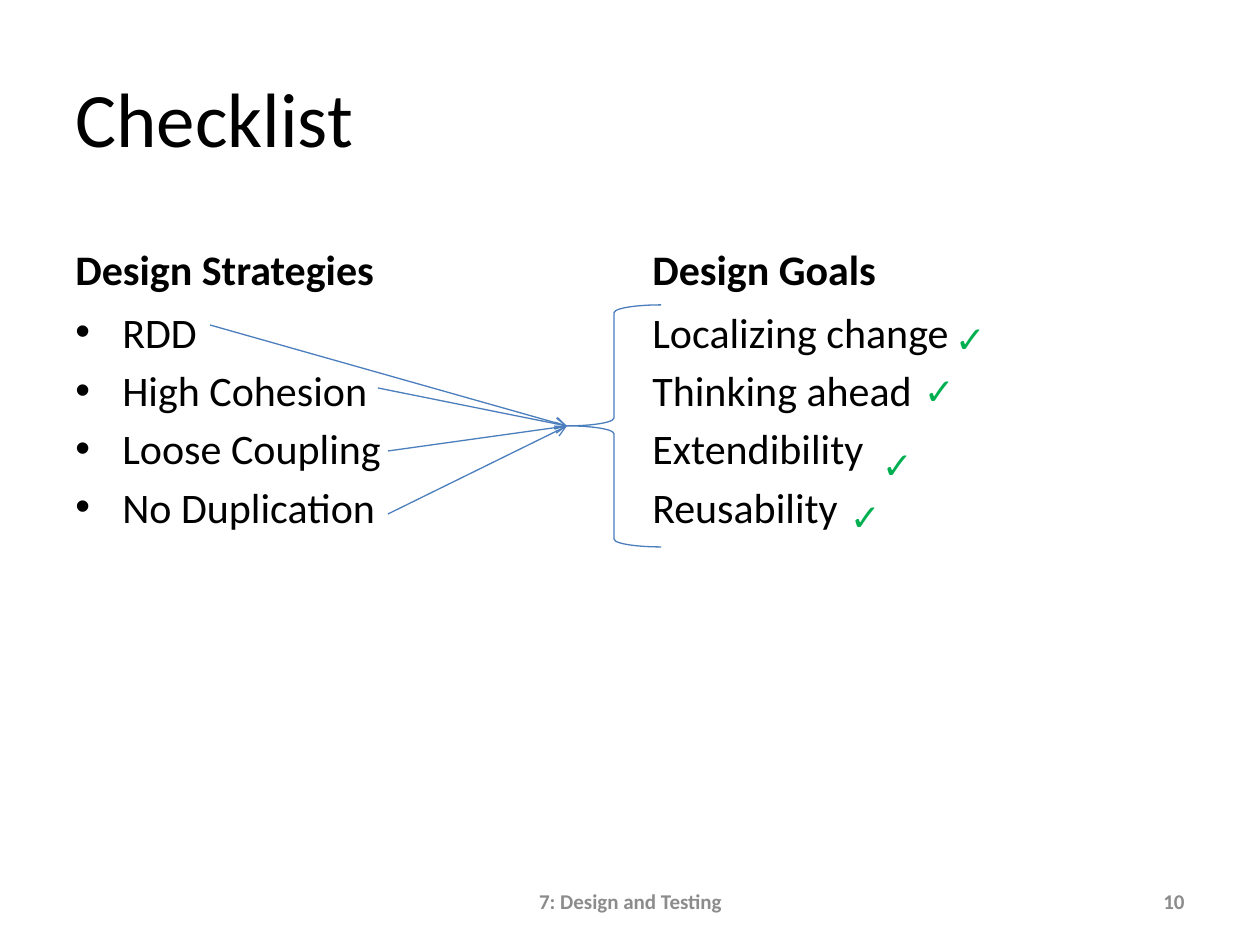
from lxml import etree
from pptx import Presentation, util as u
from pptx.dml.color import RGBColor
from pptx.enum import shapes, text
from pptx.oxml.ns import qn

PX = 7257  # EMU in one px, at 126 px to the inch
COLORS = {"ink": "000000", "line": "4B7EBC", "tick": "00B050", "footer": "8C8C8C"}

TITLE = "Checklist"
COLUMNS = [  # left, heading, bullet, items
    (63, "Design Strategies", "•",
     ["RDD", "High Cohesion", "Loose Coupling", "No Duplication"]),
    (640, "Design Goals", None,
     ["Localizing change", "Thinking ahead", "Extendibility", "Reusability"]),
]
COLUMN_WIDTH = 557
BRACE = (567, 305, 94, 242)
ARROW_STARTS = [(210, 325), (378, 388), (388, 451), (388, 514)]
TICKS = [(945, 305), (914, 357), (872, 431), (840, 483)]
FOOTERS = [  # text, left, width, alignment
    ("7: Design and Testing", 431, 399, text.PP_ALIGN.CENTER),
    ("10", 903, 294, text.PP_ALIGN.RIGHT),
]


def px(*lengths):
    return [u.Emu(length * PX) for length in lengths]


def color(name):
    return RGBColor.from_string(COLORS[name])


def add_text(page, place, lines, size, ink="ink", font="Calibri", bold=False,
             anchor=text.MSO_ANCHOR.TOP, align=text.PP_ALIGN.LEFT, before=0):
    box = page.shapes.add_textbox(*px(*place))
    frame = box.text_frame
    frame.word_wrap = True
    frame.vertical_anchor = anchor
    frame.text = "\n".join(lines)
    for para in frame.paragraphs:
        para.alignment = align
        para.space_before = u.Pt(before)
        for span in para.runs:
            span.font.name = font
            span.font.size = u.Pt(size)
            span.font.bold = bold
            span.font.color.rgb = color(ink)
    return box


def hang(para, bullet):
    """Give a paragraph a hanging indent, with a bullet if there is one."""
    props = para._p.get_or_add_pPr()
    indent = px(47)[0]
    props.set("marL", str(indent))
    props.set("indent", str(-indent))
    if bullet:
        etree.SubElement(props, qn("a:buFont"), typeface="Arial")
        etree.SubElement(props, qn("a:buChar"), char=bullet)
    else:
        etree.SubElement(props, qn("a:buNone"))


def style_line(line):
    line.color.rgb = color("line")
    line.width = u.Pt(0.75)


def add_arrow(page, start, end):
    arrow = page.shapes.add_connector(
        shapes.MSO_CONNECTOR.STRAIGHT, *px(*start, *end))
    style_line(arrow.line)
    etree.SubElement(arrow.line._get_or_add_ln(), qn("a:tailEnd"), type="arrow")
    etree.SubElement(arrow._element.spPr, qn("a:effectLst"))


def main():
    deck = Presentation()
    deck.slide_width, deck.slide_height = px(1260, 945)
    page = deck.slides.add_slide(deck.slide_layouts[6])

    add_text(page, (63, 38, 1134, 157), [TITLE], 44,
             anchor=text.MSO_ANCHOR.MIDDLE)

    for left, heading, bullet, items in COLUMNS:
        add_text(page, (left, 212, COLUMN_WIDTH, 88), [heading], 24, bold=True,
                 anchor=text.MSO_ANCHOR.BOTTOM, before=4.5)
        body = add_text(page, (left, 300, COLUMN_WIDTH, 544), items, 24, before=4.5)
        for para in body.text_frame.paragraphs:
            hang(para, bullet)

    left, top, width, height = BRACE
    brace = page.shapes.add_shape(shapes.MSO_SHAPE.LEFT_BRACE, *px(*BRACE))
    brace.shadow.inherit = False
    brace.fill.background()
    style_line(brace.line)
    for start in ARROW_STARTS:
        add_arrow(page, start, (left, top + height // 2))

    for tick in TICKS:
        add_text(page, (*tick, 63, 63), ["✓"], 24, "tick", "Courier New", bold=True)

    for words, left, width, align in FOOTERS:
        add_text(page, (left, 876, width, 50), [words], 12, "footer", bold=True,
                 anchor=text.MSO_ANCHOR.MIDDLE, align=align)

    deck.save("out.pptx")


if __name__ == "__main__":
    main()
